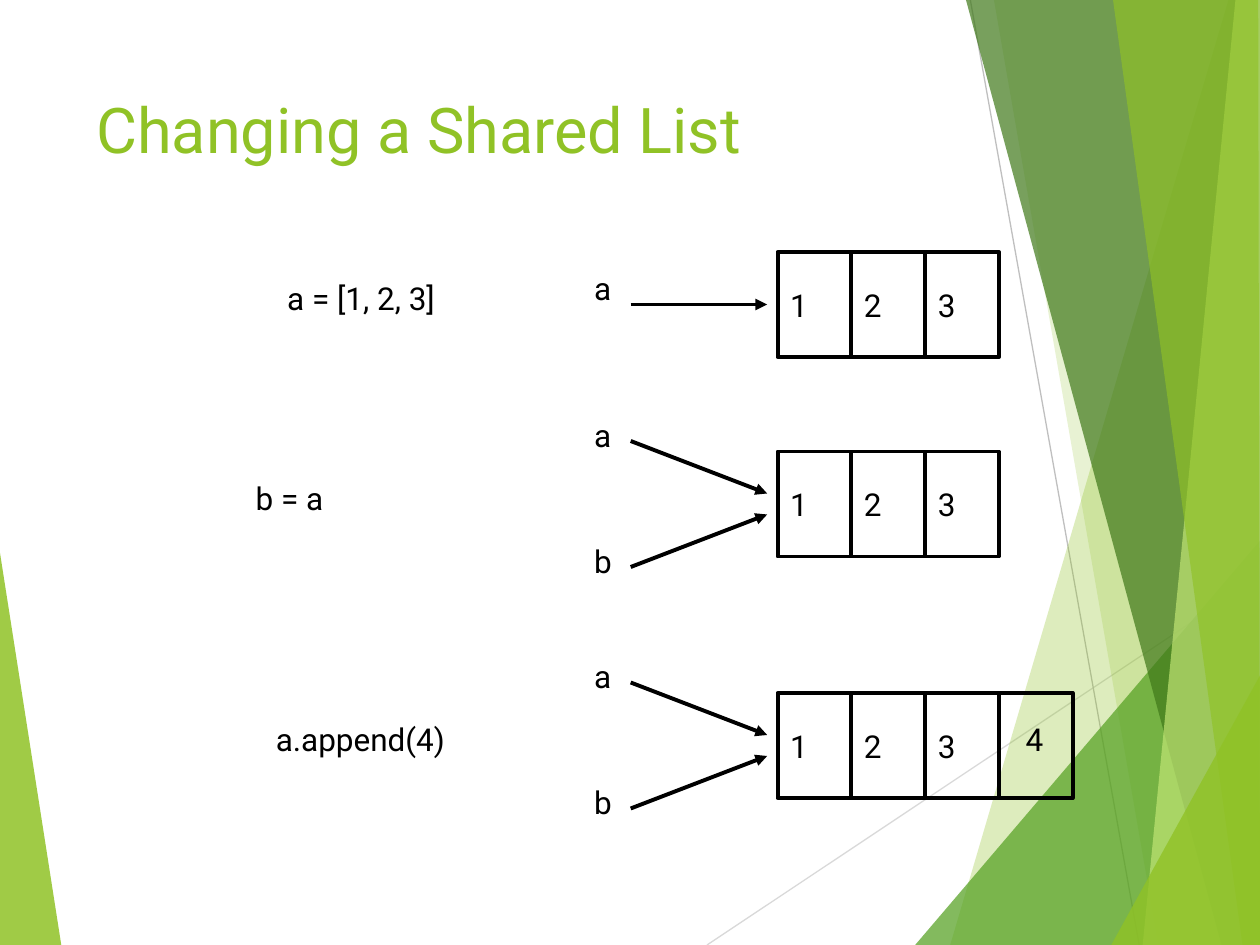
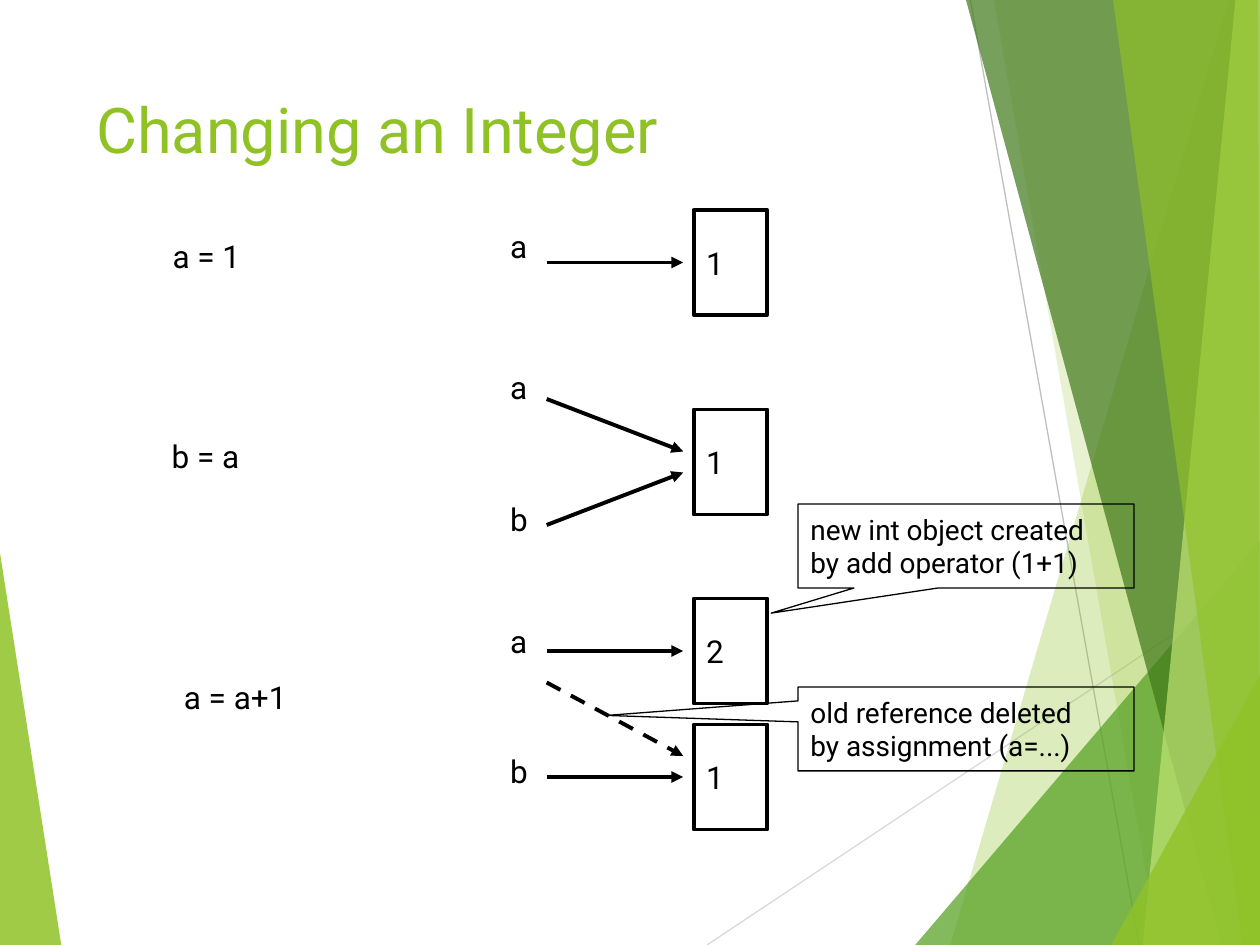
from lxml import etree
from pptx import Presentation
from pptx.dml.color import RGBColor
from pptx.enum.dml import MSO_LINE
from pptx.enum.shapes import MSO_CONNECTOR, MSO_SHAPE
from pptx.enum.text import MSO_ANCHOR, PP_ALIGN
from pptx.oxml.ns import qn
from pptx.util import Pt

STRAIGHT = MSO_CONNECTOR.STRAIGHT
RECTANGLE = MSO_SHAPE.RECTANGLE
CALLOUT = MSO_SHAPE.RECTANGULAR_CALLOUT
DASH = MSO_LINE.DASH
TOP, MIDDLE = MSO_ANCHOR.TOP, MSO_ANCHOR.MIDDLE
LEFT = PP_ALIGN.LEFT

BLACK = RGBColor(0x00, 0x00, 0x00)
LIME = RGBColor(0x90, 0xC2, 0x26)
GREEN = RGBColor(0x54, 0xA0, 0x21)
DARK_GREEN = RGBColor(0x3F, 0x78, 0x19)
PALE_LIME = RGBColor(0xC0, 0xE4, 0x74)
LIGHT_GRAY = RGBColor(0xD9, 0xD9, 0xD9)
MID_GRAY = RGBColor(0xBF, 0xBF, 0xBF)

FONT = "Roboto"
WIDTH, HEIGHT = 720, 540
CELL_WIDTH, CELL_HEIGHT, CELL_STEP = 42, 60, 42.2
LABEL_HEIGHT = 29

# Distances from the left edge of a name label
ARROW_START, ARROW_END, CELLS_START = 28, 106, 112
# Distances from the top of a row of cells
ARROW_MIDDLE = CELL_HEIGHT / 2
UPPER_ARROW, LOWER_ARROW = (-6, 24), (66, 36)

LEFT_FACET = (LIME, 85, [(0, 316), (35, HEIGHT), (0, HEIGHT)])
RIGHT_FACETS = [
    (LIME, 30, [(702, 0), (543, HEIGHT), (WIDTH, HEIGHT), (WIDTH, 0)]),
    (LIME, 20, [(567.5, 0), (662.5, HEIGHT), (WIDTH, HEIGHT), (WIDTH, 0)]),
    (GREEN, 72, [(523, HEIGHT), (WIDTH, 309), (WIDTH, HEIGHT)]),
    (DARK_GREEN, 70, [(552, 0), (698.5, HEIGHT), (WIDTH, HEIGHT), (WIDTH, 0)]),
    (PALE_LIME, 70, [(706.5, 0), (653, HEIGHT), (WIDTH, HEIGHT), (WIDTH, 0)]),
    (LIME, 65, [(636, 0), (710, HEIGHT), (WIDTH, HEIGHT), (718.8, 0)]),
    (LIME, 80, [(635, HEIGHT), (WIDTH, 385.5), (WIDTH, HEIGHT)]),
]


def add_facet(slide, color, opacity, corners):
    builder = slide.shapes.build_freeform(*corners[0], scale=Pt(1))
    builder.add_line_segments(corners[1:], close=True)
    facet = builder.convert_to_shape()
    facet.shadow.inherit = False
    facet.line.fill.background()
    facet.fill.solid()
    facet.fill.fore_color.rgb = color
    rgb = facet.fill._xPr.find(".//" + qn("a:srgbClr"))
    etree.SubElement(rgb, qn("a:alpha"), val=str(opacity * 1000))


def add_line(slide, start, end, color, weight):
    line = slide.shapes.add_connector(STRAIGHT, *map(Pt, start + end))
    line.line.color.rgb = color
    line.line.width = Pt(weight)
    etree.SubElement(line._element.spPr, qn("a:effectLst"))
    return line


def add_arrow(slide, start, end, dashed=False):
    arrow = add_line(slide, start, end, BLACK, 2.25)
    if dashed:
        arrow.line.dash_style = DASH
    etree.SubElement(arrow.line._get_or_add_ln(), qn("a:tailEnd"), type="triangle")


def write(shape, lines, size=18, color=BLACK, anchor=TOP, wrap=False):
    frame = shape.text_frame
    frame.word_wrap = wrap
    frame.vertical_anchor = anchor
    for number, words in enumerate(lines):
        paragraph = frame.add_paragraph() if number else frame.paragraphs[0]
        paragraph.alignment = LEFT
        run = paragraph.add_run()
        run.text = words
        run.font.name = FONT
        run.font.size = Pt(size)
        run.font.color.rgb = color


def add_label(slide, words, left, top, width=24.5):
    label = slide.shapes.add_textbox(Pt(left), Pt(top), Pt(width), Pt(LABEL_HEIGHT))
    write(label, [words])


def add_outline(slide, kind, left, top, width, height, weight):
    outline = slide.shapes.add_shape(kind, Pt(left), Pt(top), Pt(width), Pt(height))
    outline.shadow.inherit = False
    outline.fill.background()
    outline.line.color.rgb = BLACK
    outline.line.width = Pt(weight)
    return outline


def add_cells(slide, names_left, top, values):
    for column, value in enumerate(values):
        left = names_left + CELLS_START + column * CELL_STEP
        cell = add_outline(slide, RECTANGLE, left, top, CELL_WIDTH, CELL_HEIGHT, 2.25)
        if value:
            write(cell, [value], anchor=MIDDLE)


def add_reference(slide, names_left, name, name_top, arrow_from, arrow_to):
    """Add a variable name and the arrow from it to its object."""
    add_label(slide, name, names_left, name_top)
    add_arrow(slide, (names_left + ARROW_START, arrow_from),
              (names_left + ARROW_END, arrow_to))


def add_single(slide, names_left, top, name, name_offset, values):
    """Add an object that one variable refers to."""
    middle = top + ARROW_MIDDLE
    add_reference(slide, names_left, name, top + name_offset, middle, middle)
    add_cells(slide, names_left, top, values)


def add_shared(slide, names_left, top, values, a_offset=-24):
    """Add an object that both a and b refer to."""
    for name, offset, ends in (("a", a_offset, UPPER_ARROW), ("b", 48, LOWER_ARROW)):
        add_reference(slide, names_left, name, top + offset,
                      *(top + end for end in ends))
    add_cells(slide, names_left, top, values)


def add_callout(slide, lines, top, tip):
    callout = add_outline(slide, CALLOUT, 456, top, 192, 48, 0.75)
    callout.adjustments[0], callout.adjustments[1] = tip
    write(callout, lines, size=16, anchor=MIDDLE)


def add_base_slide(presentation, heading):
    """Add a blank slide with the green facets and a title."""
    slide = presentation.slides.add_slide(presentation.slide_layouts[6])
    add_facet(slide, *LEFT_FACET)
    add_line(slide, (404, HEIGHT), (WIDTH, 329.5), LIGHT_GRAY, 0.75)
    add_line(slide, (554.5, 0), (651, HEIGHT), MID_GRAY, 0.75)
    for facet in RIGHT_FACETS:
        add_facet(slide, *facet)
    title = slide.shapes.add_textbox(Pt(48), Pt(48), Pt(500), Pt(104))
    write(title, [heading], size=36, color=LIME, wrap=True)
    return slide


def add_shared_list(presentation):
    slide = add_base_slide(presentation, "Changing a Shared List")
    names_left = 332.4
    numbers = ["1", "2", "3"]
    add_label(slide, "a = [1, 2, 3]", 157, 156, 106)
    add_single(slide, names_left, 144, "a", 6, numbers)
    add_label(slide, "b = a", 139, 270, 55)
    add_shared(slide, names_left, 258, numbers)
    add_label(slide, "a.append(4)", 150.5, 408, 114.5)
    add_shared(slide, names_left, 396, numbers + [""])
    add_label(slide, "4", 579, 408)


def add_integer(presentation):
    slide = add_base_slide(presentation, "Changing an Integer")
    names_left = 284.4
    add_label(slide, "a = 1", 91.5, 132, 54)
    add_single(slide, names_left, 120, "a", 6, ["1"])
    add_label(slide, "b = a", 91, 246, 55)
    add_shared(slide, names_left, 234, ["1"], a_offset=-27)
    add_label(slide, "a = a+1", 98, 384, 75)
    add_single(slide, names_left, 342, "a", 10, ["2"])
    add_single(slide, names_left, 414, "b", 12, ["1"])
    add_arrow(slide, (names_left + ARROW_START, 390),
              (names_left + ARROW_END, 432), dashed=True)
    add_callout(slide, ["old reference deleted", "by assignment (a=...)"],
                392.5, (-1.07, -0.16))
    add_callout(slide, ["new int object created", "by add operator (1+1)"],
                288, (-0.58, 0.8))


def main():
    presentation = Presentation()
    presentation.slide_width, presentation.slide_height = Pt(WIDTH), Pt(HEIGHT)
    add_shared_list(presentation)
    add_integer(presentation)
    presentation.save("out.pptx")


if __name__ == "__main__":
    main()
